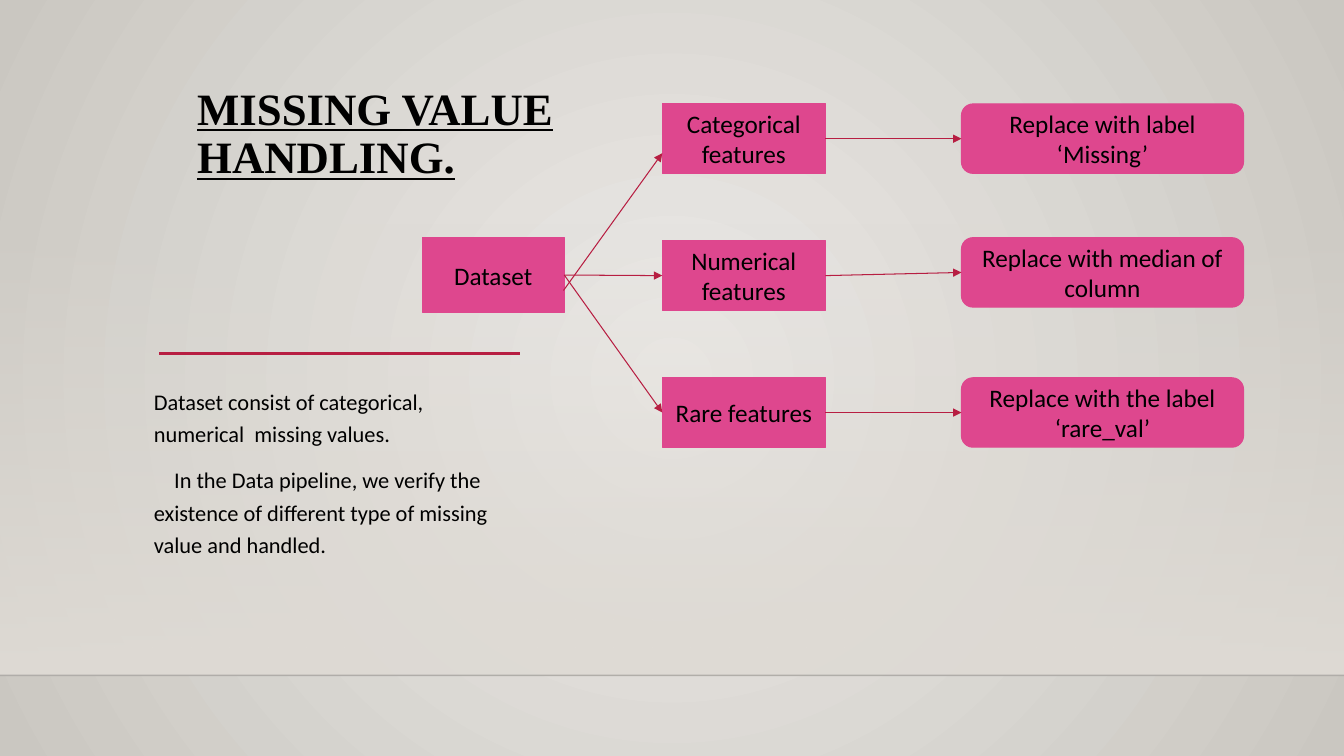
"""Build the slide that shows how missing values are handled."""
import lxml.etree
import pptx
import pptx.dml.color
import pptx.enum.shapes
import pptx.enum.text
import pptx.oxml
import pptx.oxml.ns
import pptx.util

Cm = pptx.util.Cm
Pt = pptx.util.Pt
RGBColor = pptx.dml.color.RGBColor
SHAPE = pptx.enum.shapes.MSO_SHAPE
ALIGN = pptx.enum.text.PP_ALIGN
ANCHOR = pptx.enum.text.MSO_ANCHOR
qn = pptx.oxml.ns.qn

PINK = RGBColor(0xDE, 0x47, 0x8E)
CRIMSON = RGBColor(0xB7, 0x1E, 0x42)
BLACK = RGBColor(0, 0, 0)
FLOOR_LINE = RGBColor(0, 0, 1)
GLOW = RGBColor(0xEC, 0xEA, 0xE7)
EDGE = RGBColor(0xCA, 0xC7, 0xC1)
WALL = RGBColor(0xDF, 0xDB, 0xD5)

WIDTH, HEIGHT = 33.87, 19.05
FLOOR = 17.02
ROW_TOP, ROW_STEP, ROW_HEIGHT = 2.62, 3.45, 1.75
FEATURE_LEFT, FEATURE_WIDTH = 16.69, 4.11
ACTION_LEFT, ACTION_WIDTH = 24.23, 7.11
ACTION_TOPS = (2.62, 5.99, 9.52)
LEFT_SITE, RIGHT_SITE = 1, 3

TITLE_FONT = {"name": "Times New Roman", "size": Pt(32), "bold": True, "underline": True}
BODY_FONT = {"name": "Calibri", "size": Pt(16)}
BOX_FONT = {"name": "Calibri", "size": Pt(18)}
TITLE_PARA = {"line_spacing": 0.9}
BODY_PARA = {"line_spacing": 1.2, "space_before": Pt(10)}
BOX_PARA = {"alignment": ALIGN.CENTER}

ROWS = (
    ("Categorical features", "Replace with label ‘Missing’"),
    ("Numerical features", "Replace with median of column"),
    ("Rare features", "Replace with the label ‘rare_val’"),
)
BODY = (
    "Dataset consist of categorical, numerical  missing values.",
    "In the Data pipeline, we verify the existence of different type of missing value and handled.",
)


def apply_format(target, values):
    """Set each named attribute on the target."""
    for name, value in values.items():
        setattr(target, name, value)


def add_text(para, text, para_format, font_format):
    """Write one formatted span into a paragraph."""
    span = para.add_run()
    span.text = text
    apply_format(para, para_format)
    apply_format(span.font, font_format)
    span.font.color.rgb = BLACK


def add_text_box(page, place, texts, para_format, font_format, anchor):
    """Add a wrapping text box and return its frame."""
    frame = page.shapes.add_textbox(*map(Cm, place)).text_frame
    apply_format(frame, {"word_wrap": True, "vertical_anchor": anchor})
    for index, text in enumerate(texts):
        para = frame.add_paragraph() if index else frame.paragraphs[0]
        add_text(para, text, para_format, font_format)
    return frame


def add_box(page, kind, place, text):
    """Add a pink box with a centred label."""
    box = page.shapes.add_shape(kind, *map(Cm, place))
    box.shadow.inherit = False
    box.fill.solid()
    box.fill.fore_color.rgb = PINK
    box.line.color.rgb = PINK
    box.line.width = Pt(0.75)
    apply_format(box.text_frame, {"word_wrap": True, "vertical_anchor": ANCHOR.MIDDLE})
    add_text(box.text_frame.paragraphs[0], text, BOX_PARA, BOX_FONT)
    return box


def add_line(page, ends, color, width):
    """Add a straight line without a shadow."""
    line = page.shapes.add_connector(pptx.enum.shapes.MSO_CONNECTOR.STRAIGHT, *map(Cm, ends))
    line.line.color.rgb = color
    line.line.width = Pt(width)
    lxml.etree.SubElement(line._element.spPr, qn("a:effectLst"))
    return line


def add_arrow(page, ends):
    """Add a thin line with a triangular head."""
    arrow = add_line(page, ends, CRIMSON, 0.75)
    outline = arrow._element.spPr.find(qn("a:ln"))
    lxml.etree.SubElement(outline, qn("a:tailEnd"), type="triangle")
    return arrow


def connect(page, source, target):
    """Join the right side of one box to the left side of another."""
    arrow = add_arrow(page, (0, 0, 1, 1))
    arrow.begin_connect(source, RIGHT_SITE)
    arrow.end_connect(target, LEFT_SITE)


def set_gradient(parent, first, last, direction, first_alpha=100):
    """Replace the solid fill of a parent element by a gradient."""
    gradient = pptx.oxml.parse_xml(
        f'<a:gradFill {pptx.oxml.ns.nsdecls("a")} rotWithShape="1"><a:gsLst>'
        f'<a:gs pos="0"><a:srgbClr val="{first}"><a:alpha val="{first_alpha * 1000}"/></a:srgbClr></a:gs>'
        f'<a:gs pos="100000"><a:srgbClr val="{last}"/></a:gs>'
        f"</a:gsLst>{direction}</a:gradFill>"
    )
    parent.replace(parent.find(qn("a:solidFill")), gradient)


def add_backdrop(page):
    """Paint the glowing wall and the floor line."""
    page.background.fill.solid()
    center = '<a:fillToRect l="50000" t="50000" r="50000" b="50000"/>'
    properties = page._element.cSld.find(qn("p:bg")).find(qn("p:bgPr"))
    set_gradient(properties, GLOW, EDGE, f'<a:path path="circle">{center}</a:path>')
    wall = page.shapes.add_shape(SHAPE.RECTANGLE, 0, Cm(5.61), Cm(WIDTH), Cm(FLOOR - 5.61))
    wall.shadow.inherit = False
    wall.line.fill.background()
    wall.fill.solid()
    set_gradient(wall._element.spPr, WALL, WALL, '<a:lin ang="5400000" scaled="0"/>', 0)
    floor = add_line(page, (0, FLOOR, WIDTH, FLOOR), FLOOR_LINE, 1)
    color = next(floor._element.spPr.iter(qn("a:srgbClr")))
    lxml.etree.SubElement(color, qn("a:alpha"), val="20000")


def add_flow(page):
    """Draw the dataset, its features and the action for each."""
    dataset = add_box(page, SHAPE.RECTANGLE, (10.64, 5.99, 3.58, 1.88), "Dataset")
    for index, (feature_text, action_text) in enumerate(ROWS):
        top = ROW_TOP + index * ROW_STEP
        feature = add_box(
            page, SHAPE.RECTANGLE, (FEATURE_LEFT, top, FEATURE_WIDTH, ROW_HEIGHT), feature_text)
        action = add_box(
            page, SHAPE.ROUNDED_RECTANGLE,
            (ACTION_LEFT, ACTION_TOPS[index], ACTION_WIDTH, ROW_HEIGHT), action_text)
        connect(page, feature, action)
        if index:
            connect(page, dataset, feature)
    add_arrow(page, (14.2, 7.32, FEATURE_LEFT, 3.86))


def main():
    """Build and save the deck."""
    deck = pptx.Presentation()
    apply_format(deck, {"slide_width": Cm(WIDTH), "slide_height": Cm(HEIGHT)})
    page = deck.slides.add_slide(deck.slide_layouts[6])
    add_backdrop(page)
    add_line(page, (4.01, 8.91, 13.11, 8.91), CRIMSON, 2.5)
    add_text_box(page, (4.72, -0.28, 9.83, 5.03), ["MISSING VALUE HANDLING."],
                 TITLE_PARA, TITLE_FONT, ANCHOR.BOTTOM)
    body = add_text_box(page, (3.63, 9.52, 9.47, 6.25), BODY, BODY_PARA, BODY_FONT, ANCHOR.TOP)
    body.paragraphs[1]._p.get_or_add_pPr().set("indent", str(Cm(0.51)))
    add_flow(page)
    deck.save("out.pptx")


if __name__ == "__main__":
    main()
